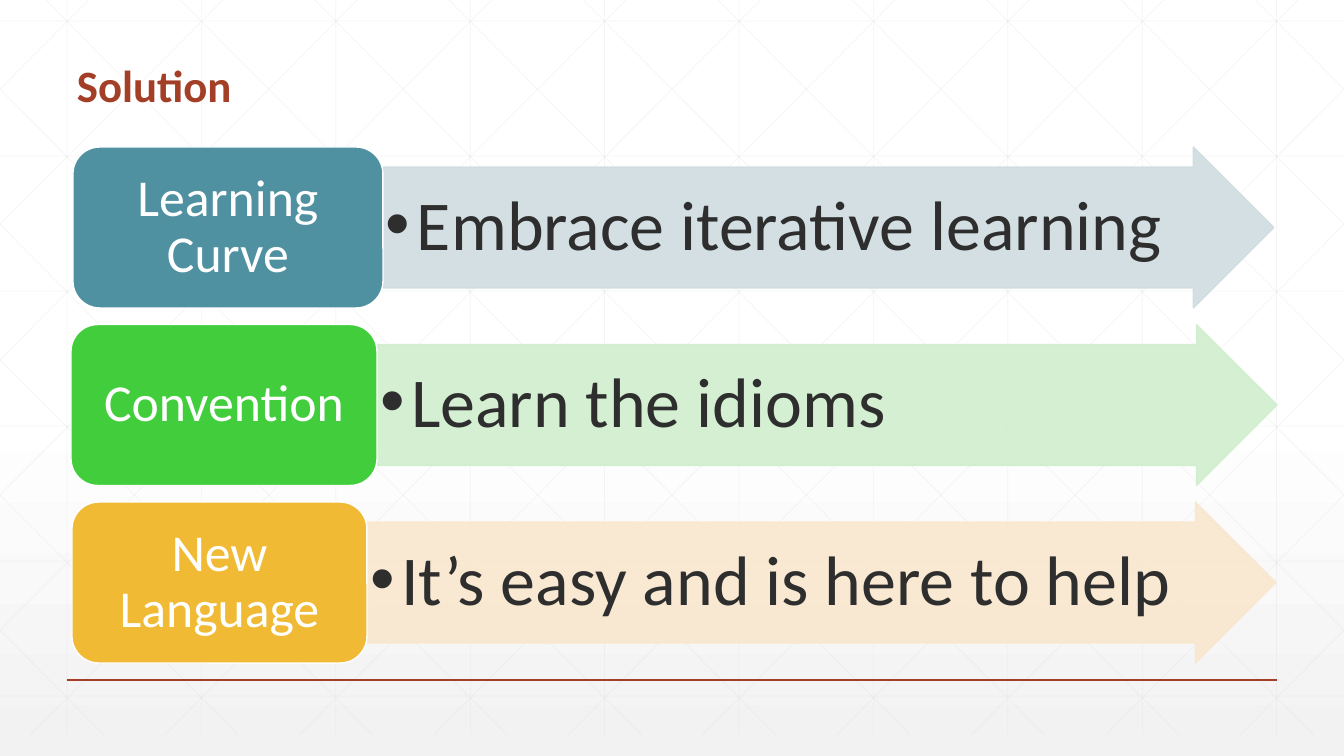
from lxml.etree import SubElement as sub
from pptx import Presentation
from pptx.dml.color import RGBColor as Rgb
from pptx.enum.shapes import MSO_CONNECTOR as Link, MSO_SHAPE as Kind
from pptx.enum.text import MSO_ANCHOR as Anchor, PP_ALIGN as Align
from pptx.oxml.ns import qn
from pptx.util import Pt

WIDE, HIGH = 1344, 756
SCALE = 12192000 / WIDE
FONT = "Calibri"
RUST, GRID, DARK, WHITE = "A43F27", "D9D9D9", "2D2E2D", "FFFFFF"

# Label, point, label left, label width, arrow right, label fill, arrow fill
ROWS = [
    ("Learning Curve", "Embrace iterative learning", 73, 310, 1274, "4F91A1", "D0DCE0"),
    ("Convention", "Learn the idioms", 71, 306, 1277, "42CE3C", "D0EECD"),
    ("New Language", "It’s easy and is here to help", 72, 295, 1276, "F0BA34", "F9E7CE"),
]
TOP, TALL, STEP = 147, 161, 177.5


def px(*nums):
    return [round(num * SCALE) for num in nums]


def paint(color, code):
    color.rgb = Rgb.from_string(code)


def fade(node, rate):
    for color in node.iter(qn("a:srgbClr")):
        sub(color, qn("a:alpha"), val=str(rate * 1000))


def draw_line(slide, x1, y1, x2, y2, code, width, rate=100):
    line = slide.shapes.add_connector(Link.STRAIGHT, *px(x1, y1, x2, y2))
    paint(line.line.color, code)
    line.line.width = Pt(width)
    props = line.element.spPr
    if rate < 100:
        fade(props, rate)
    sub(props, qn("a:effectLst"))


def draw_shape(slide, kind, box, fill, edge):
    shape = slide.shapes.add_shape(kind, *px(*box))
    shape.shadow.inherit = False
    shape.fill.solid()
    paint(shape.fill.fore_color, fill)
    paint(shape.line.color, edge)
    shape.line.width = Pt(1)
    return shape


def write(shape, text, size, code, align, anchor=Anchor.MIDDLE, pads=None, bold=False):
    frame = shape.text_frame
    frame.text = text
    frame.word_wrap = True
    frame.vertical_anchor = anchor
    if pads:
        side, end = px(*pads)
        frame.margin_left = frame.margin_right = side
        frame.margin_top = frame.margin_bottom = end
    para = frame.paragraphs[0]
    para.alignment = align
    para.line_spacing = 0.9
    font = para.runs[0].font
    font.name, font.size, font.bold = FONT, Pt(size), bold
    paint(font.color, code)
    return para


def add_dot(para, dent):
    para.level = 1
    props = para._p.get_or_add_pPr()
    room, = px(dent)
    props.set("marL", str(room))
    props.set("indent", str(-room))
    sub(props, qn("a:buFont"), typeface="Arial")
    sub(props, qn("a:buChar"), char="•")


def fill_back(slide):
    slide.background.fill.gradient()
    grad = slide.element.find(".//" + qn("a:gradFill"))
    for child in list(grad):
        grad.remove(child)
    stops = sub(grad, qn("a:gsLst"))
    for place, code in (0, WHITE), (53, WHITE), (100, "F2F2F2"):
        stop = sub(stops, qn("a:gs"), pos=str(place * 1000))
        sub(stop, qn("a:srgbClr"), val=code)
    fade(stop, 65)
    sub(grad, qn("a:lin"), ang="5400000", scaled="0")


def draw_grid(slide):
    gap, run, top, base = 134.4, 751, -21, 735

    def rule(*ends):
        draw_line(slide, *ends, GRID, 0.5, 25)

    for i in range(10):
        x = 67 + gap * i
        rule(x, top, x, base)
    for i in range(6):
        y = 21 + 135 * i
        rule(0, y, WIDE, y)
    # Diagonals, cut at the slide's sides, each with its mirror
    for i in range(-5, 10):
        x = 25 + gap * i
        x1, x2 = max(x, 0), min(x + run, WIDE)
        y1, y2 = (top + (end - x) / run * (base - top) for end in (x1, x2))
        rule(x1, y1, x2, y2)
        rule(WIDE - x1, y1, WIDE - x2, y2)


def draw_row(slide, top, label, point, left, width, right, fill, pale):
    start = left + width
    arrow = draw_shape(slide, Kind.RIGHT_ARROW, (start, top, right - start, TALL), pale, pale)
    arrow.adjustments[0] = 0.75
    fade(arrow.element.spPr, 90)
    add_dot(write(arrow, point, 50, DARK, Align.LEFT, pads=(3, 3)), 31)
    box = draw_shape(slide, Kind.ROUNDED_RECTANGLE, (left, top, width, TALL), fill, WHITE)
    write(box, label, 37, WHITE, Align.CENTER, pads=(15, 8))


def main():
    deck = Presentation()
    deck.slide_width, deck.slide_height = px(WIDE, HIGH)
    slide = deck.slides.add_slide(deck.slide_layouts[6])

    # Backdrop
    fill_back(slide)
    draw_grid(slide)
    draw_line(slide, 67, 680, 1277, 680, RUST, 1)

    # Title
    title = slide.shapes.add_textbox(*px(67, 55, 1212, 62))
    write(title, "Solution", 32, RUST, Align.LEFT, Anchor.BOTTOM, bold=True)

    # Problems and their answers
    for i, row in enumerate(ROWS):
        draw_row(slide, TOP + STEP * i, *row)

    deck.save("out.pptx")


if __name__ == "__main__":
    main()
